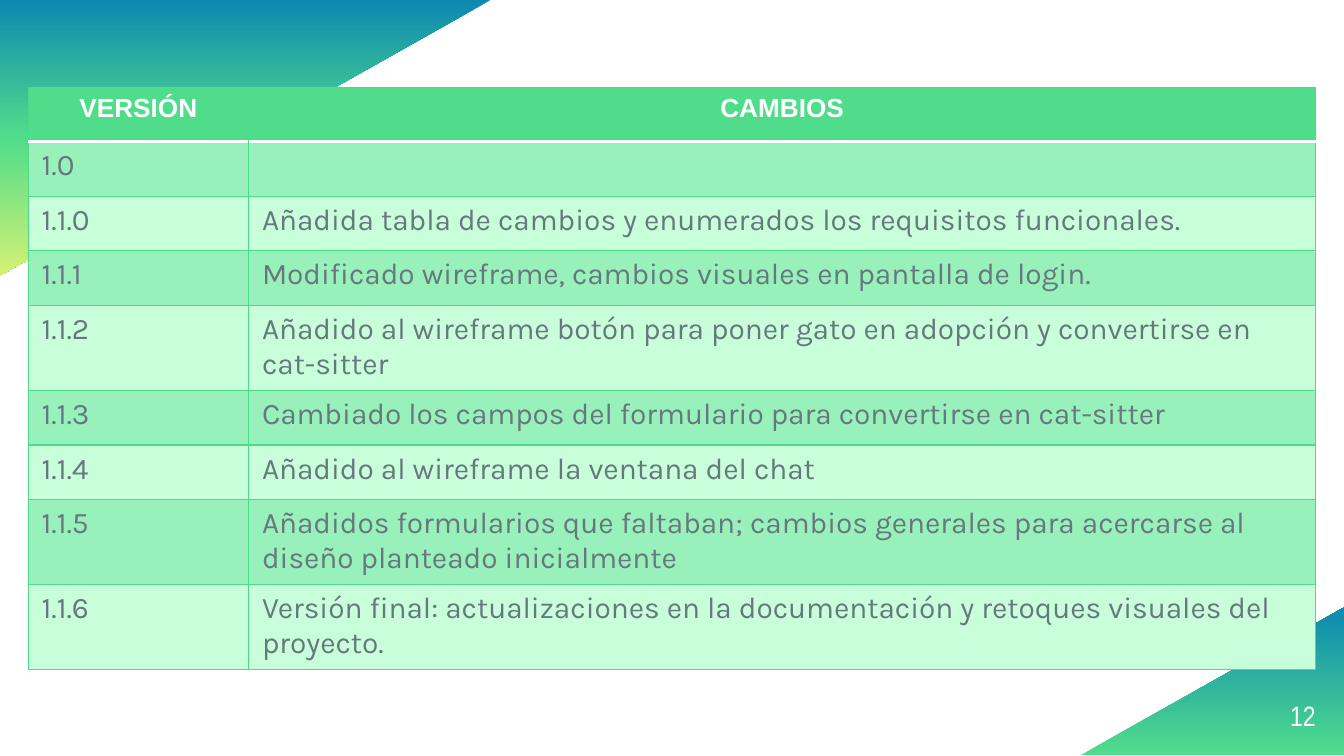
"""Build the version history slide with its table of changes."""
from lxml.etree import SubElement
from pptx import Presentation
from pptx.dml.color import RGBColor
from pptx.enum.shapes import MSO_SHAPE
from pptx.enum.text import MSO_ANCHOR, PP_ALIGN
from pptx.oxml.ns import qn
from pptx.util import Inches, Pt


def color(value):
    return RGBColor.from_string(value)


def add_span(para, text, font, size, value, bold=False):
    span = para.add_run()
    span.text = text
    span.font.name = font
    span.font.size = Pt(size)
    span.font.bold = bold
    span.font.color.rgb = color(value)


deck = Presentation()
deck.slide_width = Inches(10)
deck.slide_height = Inches(10) * 9 // 16
page = deck.slides.add_slide(deck.slide_layouts[6])

corners = [
    ((0.8, -0.8, 2.05, 3.65), 90, ["0D89B1", "50DD8B", "D6F075"]),
    ((8.47, 4.09, 1.1, 1.96), 270, ["50DD8B", "0D89B1"]),
]
for bounds, rotation, stops in corners:
    corner = page.shapes.add_shape(MSO_SHAPE.RIGHT_TRIANGLE, *map(Inches, bounds))
    corner.rotation = rotation
    corner.shadow.inherit = False
    corner.line.fill.background()
    corner.fill.gradient()
    corner.fill.gradient_angle = 0
    stop_list = corner._element.spPr.find(qn("a:gradFill")).find(qn("a:gsLst"))
    for old_stop in list(stop_list):
        stop_list.remove(old_stop)
    for index, value in enumerate(stops):
        position = 100000 * index // (len(stops) - 1)
        stop = SubElement(stop_list, qn("a:gs"), pos=str(position))
        SubElement(stop, qn("a:srgbClr"), val=value)

number_box = page.shapes.add_textbox(Inches(9.19), Inches(5.11), Inches(0.6), Inches(0.43))
frame = number_box.text_frame
frame.word_wrap = True
frame.vertical_anchor = MSO_ANCHOR.MIDDLE
frame.margin_left = frame.margin_right = frame.margin_top = frame.margin_bottom = 0
frame.paragraphs[0].alignment = PP_ALIGN.RIGHT
add_span(frame.paragraphs[0], "12", "Arial Narrow", 15, "FFFFFF")

rows = [
    ("VERSIÓN", "CAMBIOS"),
    ("1.0", ""),
    ("1.1.0", "Añadida tabla de cambios y enumerados los requisitos funcionales."),
    ("1.1.1", "Modificado wireframe, cambios visuales en pantalla de login."),
    ("1.1.2", "Añadido al wireframe botón para poner gato en adopción y convertirse en cat-sitter"),
    ("1.1.3", "Cambiado los campos del formulario para convertirse en cat-sitter"),
    ("1.1.4", "Añadido al wireframe la ventana del chat"),
    ("1.1.5", "Añadidos formularios que faltaban; cambios generales para acercarse al "
              "diseño planteado inicialmente"),
    ("1.1.6", "Versión final: actualizaciones en la documentación y retoques visuales del proyecto."),
]
row_height = Inches(3.65) // len(rows)
table = page.shapes.add_table(
    len(rows), 2, Inches(0.21), Inches(0.65), Inches(9.58), Inches(4.33)
).table
for column, width in zip(table.columns, (1.64, 7.94)):
    column.width = Inches(width)
for row in table.rows:
    row.height = row_height

for row_index, texts in enumerate(rows):
    header = row_index == 0
    for column_index, text in enumerate(texts):
        cell = table.cell(row_index, column_index)
        para = cell.text_frame.paragraphs[0]
        if header:
            para.alignment = PP_ALIGN.CENTER
            add_span(para, text, "Arial", 14, "FFFFFF", True)
        elif text:
            add_span(para, text, "Karla", 16, "66787E")
        else:
            para.font.size = Pt(16)

        properties = cell._tc.get_or_add_tcPr()
        for side in ("L", "R", "T", "B"):
            divider = (row_index, side) in ((0, "B"), (1, "T"))
            inner = header and (column_index, side) in ((0, "R"), (1, "L"))
            border = SubElement(properties, qn(f"a:ln{side}"), w=str(Pt(2 if divider else 0.75)))
            if inner:
                SubElement(border, qn("a:noFill"))
            else:
                paint = SubElement(border, qn("a:solidFill"))
                SubElement(paint, qn("a:srgbClr"), val="FFFFFF" if divider else "4BDC87")
        cell.fill.solid()
        banded = "98F1BA" if row_index % 2 else "C8FFDA"
        cell.fill.fore_color.rgb = color("50DD8B" if header else banded)

deck.save("out.pptx")
